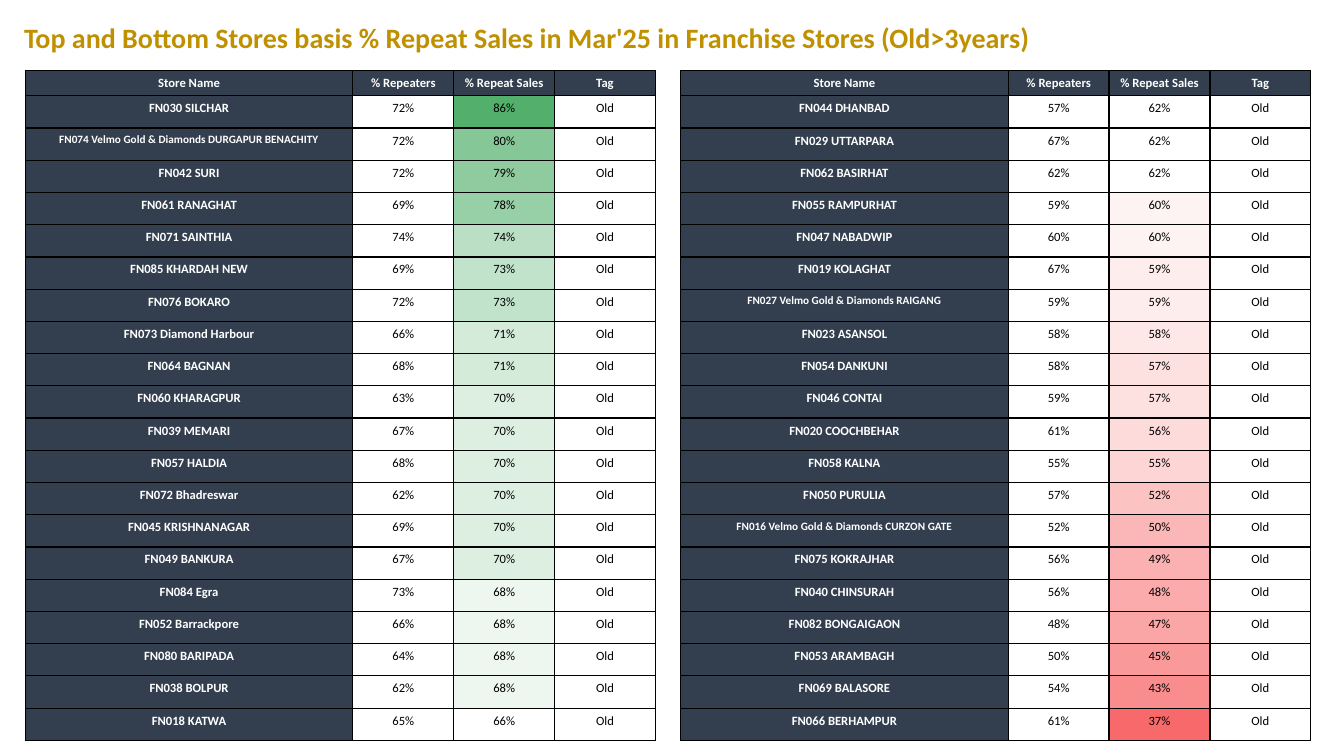
from lxml import etree
from pptx import Presentation
from pptx.dml.color import RGBColor
from pptx.enum import text
from pptx.oxml import ns
from pptx.util import Inches, Pt

COLORS = {"gold": "BF9000", "navy": "333F4F", "white": "FFFFFF",
          "black": "000000", "green": "53B06C", "red": "F8696B"}
FONT = "Calibri"
HEADINGS = ("Store Name", "% Repeaters", "% Repeat Sales", "Tag")
TAG = "Old"
COLUMN_WIDTHS = (3.25, 1, 1, 1)
HEADER_HEIGHT, ROW_HEIGHT = 0.2, 0.32
LONG_NAME = 30  # longer store names are set one point smaller

# Store name, % repeaters, % repeat sales
top_stores = [
    ("FN030 SILCHAR", 72, 86),
    ("FN074 Velmo Gold & Diamonds DURGAPUR BENACHITY", 72, 80),
    ("FN042 SURI", 72, 79),
    ("FN061 RANAGHAT", 69, 78),
    ("FN071 SAINTHIA", 74, 74),
    ("FN085 KHARDAH NEW", 69, 73),
    ("FN076 BOKARO", 72, 73),
    ("FN073 Diamond Harbour", 66, 71),
    ("FN064 BAGNAN", 68, 71),
    ("FN060 KHARAGPUR", 63, 70),
    ("FN039 MEMARI", 67, 70),
    ("FN057 HALDIA", 68, 70),
    ("FN072 Bhadreswar", 62, 70),
    ("FN045 KRISHNANAGAR", 69, 70),
    ("FN049 BANKURA", 67, 70),
    ("FN084 Egra", 73, 68),
    ("FN052 Barrackpore", 66, 68),
    ("FN080 BARIPADA", 64, 68),
    ("FN038 BOLPUR", 62, 68),
    ("FN018 KATWA", 65, 66),
]
bottom_stores = [
    ("FN044 DHANBAD", 57, 62),
    ("FN029 UTTARPARA", 67, 62),
    ("FN062 BASIRHAT", 62, 62),
    ("FN055 RAMPURHAT", 59, 60),
    ("FN047 NABADWIP", 60, 60),
    ("FN019 KOLAGHAT", 67, 59),
    ("FN027 Velmo Gold & Diamonds RAIGANG", 59, 59),
    ("FN023 ASANSOL", 58, 58),
    ("FN054 DANKUNI", 58, 57),
    ("FN046 CONTAI", 59, 57),
    ("FN020 COOCHBEHAR", 61, 56),
    ("FN058 KALNA", 55, 55),
    ("FN050 PURULIA", 57, 52),
    ("FN016 Velmo Gold & Diamonds CURZON GATE", 52, 50),
    ("FN075 KOKRAJHAR", 56, 49),
    ("FN040 CHINSURAH", 56, 48),
    ("FN082 BONGAIGAON", 48, 47),
    ("FN053 ARAMBAGH", 50, 45),
    ("FN069 BALASORE", 54, 43),
    ("FN066 BERHAMPUR", 61, 37),
]


def add_span(para, words, size, color, bold):
    span = para.add_run()
    span.text = words
    span.font.name = FONT
    span.font.size = Pt(size)
    span.font.bold = bold
    span.font.color.rgb = RGBColor.from_string(color)


def fill_cell(cell, words, size, color, bold, fill):
    para = cell.text_frame.paragraphs[0]
    para.alignment = text.PP_ALIGN.CENTER
    add_span(para, words, size, color, bold)
    # Borders come before the fill in the cell properties
    properties = cell._tc.get_or_add_tcPr()
    for side in ("a:lnL", "a:lnR", "a:lnT", "a:lnB"):
        line = etree.SubElement(properties, ns.qn(side), w=str(Pt(1)))
        solid = etree.SubElement(line, ns.qn("a:solidFill"))
        etree.SubElement(solid, ns.qn("a:srgbClr"), val=COLORS["black"])
    cell.fill.solid()
    cell.fill.fore_color.rgb = RGBColor.from_string(fill)


deck = Presentation()
deck.slide_width = Inches(13.33)
deck.slide_height = Inches(7.5)
page = deck.slides.add_slide(deck.slide_layouts[6])

# Title
title_box = page.shapes.add_textbox(Inches(0.14), Inches(0.15), Inches(12.05), Inches(0.44))
title_box.text_frame.word_wrap = True
title_box.text_frame.auto_size = text.MSO_AUTO_SIZE.SHAPE_TO_FIT_TEXT
add_span(title_box.text_frame.paragraphs[0],
         "Top and Bottom Stores basis % Repeat Sales in Mar'25 in Franchise Stores (Old>3years)",
         20, COLORS["gold"], True)

# Store tables, each shaded from white at its weakest tint to full colour
for left, stores, strong, pale_at, strong_at in (
        (0.25, top_stores, "green", 66, 86),
        (6.75, bottom_stores, "red", 62, 37)):
    height = HEADER_HEIGHT + ROW_HEIGHT * len(stores)
    table = page.shapes.add_table(len(stores) + 1, len(HEADINGS), Inches(left), Inches(0.7),
                                  Inches(sum(COLUMN_WIDTHS)), Inches(height)).table
    table.horz_banding = False
    for column, width in zip(table.columns, COLUMN_WIDTHS):
        column.width = Inches(width)
    for row in table.rows:
        row.height = Inches(ROW_HEIGHT)
    table.rows[0].height = Inches(HEADER_HEIGHT)

    # Header row
    for c, heading in enumerate(HEADINGS):
        fill_cell(table.cell(0, c), heading, 9, COLORS["white"], True, COLORS["navy"])

    # Store rows
    full = RGBColor.from_string(COLORS[strong])
    for r, (store, repeaters, sales) in enumerate(stores, start=1):
        share = (sales - pale_at) / (strong_at - pale_at)
        tint = str(RGBColor(*(int(255 - (255 - channel) * share) for channel in full)))
        name_size = 8 if len(store) > LONG_NAME else 9
        fill_cell(table.cell(r, 0), store, name_size, COLORS["white"], True, COLORS["navy"])
        values = ((f"{repeaters}%", COLORS["white"]), (f"{sales}%", tint), (TAG, COLORS["white"]))
        for c, (words, fill) in enumerate(values, start=1):
            fill_cell(table.cell(r, c), words, 9, COLORS["black"], False, fill)

deck.save("out.pptx")
